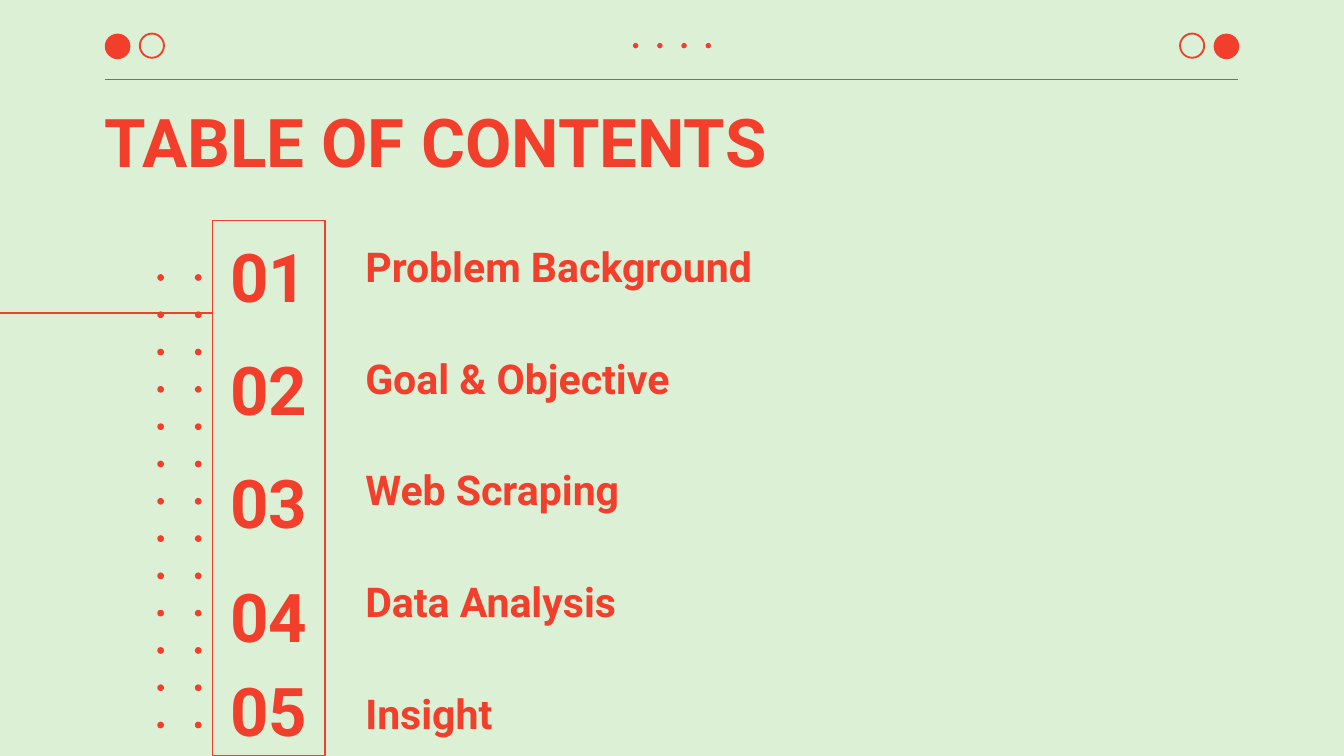
"""Build a table of contents slide with dotted and ringed decorations."""
from dataclasses import dataclass
from itertools import product

from lxml.etree import SubElement
from pptx import Presentation
from pptx.dml.color import RGBColor
from pptx.enum.shapes import MSO_CONNECTOR, MSO_SHAPE
from pptx.enum.text import MSO_ANCHOR, MSO_AUTO_SIZE, PP_ALIGN
from pptx.oxml.ns import qn
from pptx.shapes.autoshape import Shape
from pptx.slide import Slide
from pptx.util import Inches, Pt

RED = RGBColor(0xF1, 0x3F, 0x2C)
GREEN = RGBColor(0xDC, 0xF0, 0xD6)
FONT = "Roboto"


@dataclass(frozen=True)
class Entry:
    number: str
    label: str
    number_top: float


@dataclass(frozen=True)
class Circle:
    left: float
    top: float
    size: float
    solid: bool = True


ENTRIES = [
    Entry("01", "Problem Background", 1.65),
    Entry("02", "Goal & Objective", 2.49),
    Entry("03", "Web Scraping", 3.33),
    Entry("04", "Data Analysis", 4.18),
    Entry("05", "Insight", 4.88),
]
CORNER_CIRCLES = [
    Circle(0.78, 0.25, 0.19),
    Circle(1.04, 0.25, 0.18, solid=False),
    Circle(8.78, 0.25, 0.18, solid=False),
    Circle(9.03, 0.25, 0.19),
]
HEADER_DOTS = [Circle(4.71 + 0.18 * i, 0.32, 0.04) for i in range(4)]
SIDE_DOTS = [
    Circle(1.17 + 0.28 * col, 2.04 + 3.33 * row / 12, 0.05)
    for row, col in product(range(13), range(2))
]


def add_circle(s: Slide, c: Circle) -> None:
    """Draw a filled dot or an open ring."""
    size = Inches(c.size)
    sp = s.shapes.add_shape(
        MSO_SHAPE.OVAL, Inches(c.left), Inches(c.top), size, size
    )
    sp.shadow.inherit = False
    if c.solid:
        sp.fill.solid()
        sp.fill.fore_color.rgb = RED
        sp.line.fill.background()
    else:
        sp.fill.background()
        sp.line.color.rgb = RED
        sp.line.width = Pt(1)


def add_rule(s: Slide, x1: float, x2: float, y: float) -> None:
    """Draw a thin horizontal line."""
    cn = s.shapes.add_connector(
        MSO_CONNECTOR.STRAIGHT, Inches(x1), Inches(y), Inches(x2), Inches(y)
    )
    cn.line.color.rgb = RED
    cn.line.width = Pt(0.75)
    SubElement(cn._element.spPr, qn("a:effectLst"))


def add_panel(s: Slide) -> None:
    """Draw the outlined column behind the numbers."""
    sp = s.shapes.add_shape(
        MSO_SHAPE.RECTANGLE, Inches(1.58), Inches(1.64), Inches(0.84), Inches(3.98)
    )
    sp.shadow.inherit = False
    sp.fill.solid()
    sp.fill.fore_color.rgb = GREEN
    sp.line.color.rgb = RED
    sp.line.width = Pt(0.75)


def write(sp: Shape, text: str, size: int, align: PP_ALIGN = PP_ALIGN.LEFT) -> None:
    """Fill a box with one bold red line of text."""
    tf = sp.text_frame
    tf.word_wrap = True
    tf.auto_size = MSO_AUTO_SIZE.NONE
    tf.vertical_anchor = MSO_ANCHOR.TOP
    tf.margin_left = tf.margin_right = Inches(0.1)
    tf.margin_top = tf.margin_bottom = Inches(0.1)
    p = tf.paragraphs[0]
    p.alignment = align
    r = p.add_run()
    r.text = text
    r.font.name = FONT
    r.font.size = Pt(size)
    r.font.bold = True
    r.font.color.rgb = RED


def add_text(
    s: Slide, left: float, top: float, width: float, height: float,
    text: str, size: int, align: PP_ALIGN = PP_ALIGN.LEFT,
) -> None:
    """Add a text box holding one line."""
    sp = s.shapes.add_textbox(
        Inches(left), Inches(top), Inches(width), Inches(height)
    )
    write(sp, text, size, align)


def main() -> None:
    """Assemble and save the slide."""
    prs = Presentation()
    prs.slide_width = Inches(10)
    prs.slide_height = prs.slide_width * 9 // 16
    s = prs.slides.add_slide(prs.slide_layouts[5])
    s.background.fill.solid()
    s.background.fill.fore_color.rgb = GREEN

    title = s.shapes.title
    title.left, title.top = Inches(0.68), Inches(0.65)
    title.width, title.height = Inches(8.54), Inches(0.71)
    write(title, "TABLE OF CONTENTS", 36)

    add_rule(s, 0.78, 9.21, 0.59)
    for circle in HEADER_DOTS + CORNER_CIRCLES + SIDE_DOTS:
        add_circle(s, circle)
    add_panel(s)
    add_rule(s, 0, 1.58, 2.33)

    for i, entry in enumerate(ENTRIES):
        add_text(s, 1.58, entry.number_top, 0.84, 0.71, entry.number, 36,
                 PP_ALIGN.CENTER)
        add_text(s, 2.62, 1.7 + 0.83 * i, 5, 0.56, entry.label, 22)

    prs.save("out.pptx")


if __name__ == "__main__":
    main()
